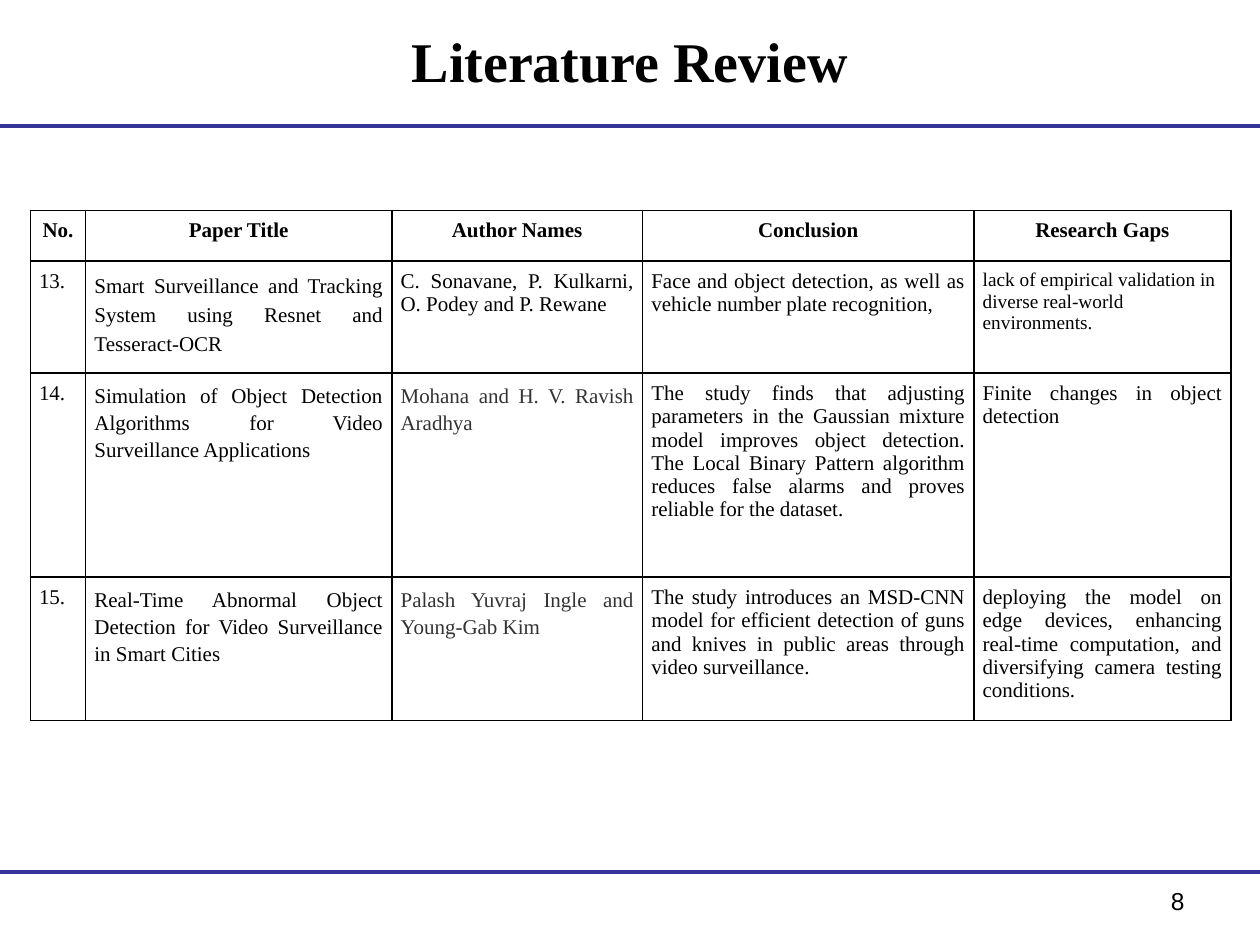
"""Build the literature review slide with its table of surveyed papers."""
from lxml.etree import SubElement
from pptx import Presentation
from pptx.dml.color import RGBColor
from pptx.enum.shapes import MSO_CONNECTOR
from pptx.enum.text import MSO_ANCHOR, PP_ALIGN
from pptx.oxml.ns import qn
from pptx.util import Inches, Pt

BLACK = RGBColor(0x00, 0x00, 0x00)
GRAY = RGBColor(0x33, 0x33, 0x33)
BLUE = RGBColor(0x33, 0x33, 0x99)
SERIF, SANS = "Times New Roman", "Arial"

WIDTH, HEIGHT = 10, 7.5
TITLE = "Literature Review"
PAGE_NUMBER = "8"
RULE_HEIGHTS = (1, 6.92)

TABLE_LEFT, TABLE_TOP = 0.24, 1.67
COLUMN_WIDTHS = (0.44, 2.43, 1.99, 2.63, 2.04)
ROW_HEIGHTS = (0.4, 0.89, 1.62, 1.06)
CELL_MARGIN = 0.07
HEADERS = ("No.", "Paper Title", "Author Names", "Conclusion", "Research Gaps")
PAPERS = (
    ("13.",
     "Smart Surveillance and Tracking System using Resnet and Tesseract-OCR",
     "C. Sonavane, P. Kulkarni, O. Podey and P. Rewane",
     "Face and object detection, as well as vehicle number plate recognition, ",
     "lack of empirical validation in diverse real-world environments."),
    ("14.",
     "Simulation of Object Detection Algorithms for Video Surveillance Applications",
     "Mohana and H. V. Ravish Aradhya",
     "The study finds that adjusting parameters in the Gaussian mixture model "
     "improves object detection. The Local Binary Pattern algorithm reduces "
     "false alarms and proves reliable for the dataset.",
     "Finite changes in object detection"),
    ("15.",
     "Real-Time Abnormal Object Detection for Video Surveillance in Smart Cities",
     "Palash Yuvraj Ingle and Young-Gab Kim ",
     "The study introduces an MSD-CNN model for efficient detection of guns and "
     "knives in public areas through video surveillance.",
     "deploying the model on edge devices, enhancing real-time computation, and "
     "diversifying camera testing conditions."),
)

HEADER_FORMAT = {"alignment": PP_ALIGN.CENTER, "bold": True}
BODY_FORMAT = {"alignment": PP_ALIGN.JUSTIFY}
SPACED = {"line_spacing": 1.15}
AUTHOR = {"line_spacing": 1.15, "color": GRAY}
SPECIAL_FORMATS = {
    (1, 1): {"line_spacing": 1.24},
    (1, 4): {"alignment": PP_ALIGN.LEFT, "size": 11},
    (2, 1): SPACED, (2, 2): AUTHOR,
    (3, 1): SPACED, (3, 2): AUTHOR,
}


def write(text_frame, text, alignment, size=12, name=SERIF, bold=False,
          color=BLACK, line_spacing=None):
    paragraph = text_frame.paragraphs[0]
    paragraph.alignment = alignment
    paragraph.line_spacing = line_spacing
    run = paragraph.add_run()
    run.text = text
    for attribute, value in {"size": Pt(size), "name": name, "bold": bold}.items():
        setattr(run.font, attribute, value)
    run.font.color.rgb = color


def add_text(slide, box, text, anchor, **text_format):
    shape = slide.shapes.add_textbox(*map(Inches, box))
    shape.text_frame.word_wrap = True
    shape.text_frame.vertical_anchor = anchor
    write(shape.text_frame, text, **text_format)


def add_rule(slide, top):
    rule = slide.shapes.add_connector(
        MSO_CONNECTOR.STRAIGHT, 0, Inches(top), Inches(WIDTH), Inches(top))
    rule.line.color.rgb = BLUE
    rule.line.width = Pt(2.25)
    SubElement(rule._element.spPr, qn("a:effectLst"))


def add_borders(cell):
    properties = cell._tc.get_or_add_tcPr()
    for side in ("lnL", "lnR", "lnT", "lnB"):
        line = SubElement(properties, qn(f"a:{side}"), w=str(Pt(1)))
        fill = SubElement(line, qn("a:solidFill"))
        SubElement(fill, qn("a:srgbClr"), val=str(BLACK))


def add_papers_table(slide):
    rows = (HEADERS, *PAPERS)
    table = slide.shapes.add_table(
        len(rows), len(HEADERS), Inches(TABLE_LEFT), Inches(TABLE_TOP),
        Inches(sum(COLUMN_WIDTHS)), Inches(sum(ROW_HEIGHTS))).table
    for column, width in zip(table.columns, COLUMN_WIDTHS):
        column.width = Inches(width)
    for row, height in zip(table.rows, ROW_HEIGHTS):
        row.height = Inches(height)
    for row_index, texts in enumerate(rows):
        base_format = BODY_FORMAT if row_index else HEADER_FORMAT
        for column_index, text in enumerate(texts):
            cell = table.cell(row_index, column_index)
            for side in ("left", "right", "top", "bottom"):
                setattr(cell, f"margin_{side}", Inches(CELL_MARGIN))
            add_borders(cell)
            cell.fill.background()
            special = SPECIAL_FORMATS.get((row_index, column_index), {})
            write(cell.text_frame, text, **{**base_format, **special})


def main():
    presentation = Presentation()
    presentation.slide_width = Inches(WIDTH)
    presentation.slide_height = Inches(HEIGHT)
    slide = presentation.slides.add_slide(presentation.slide_layouts[6])
    for top in RULE_HEIGHTS:
        add_rule(slide, top)
    add_text(slide, (0.5, 0.13, 9, 0.7), TITLE, MSO_ANCHOR.MIDDLE,
             alignment=PP_ALIGN.CENTER, size=32, bold=True)
    add_text(slide, (7.17, 6.98, 2.33, 0.52), PAGE_NUMBER, MSO_ANCHOR.TOP,
             alignment=PP_ALIGN.RIGHT, size=14, name=SANS)
    add_papers_table(slide)
    presentation.save("out.pptx")


if __name__ == "__main__":
    main()
